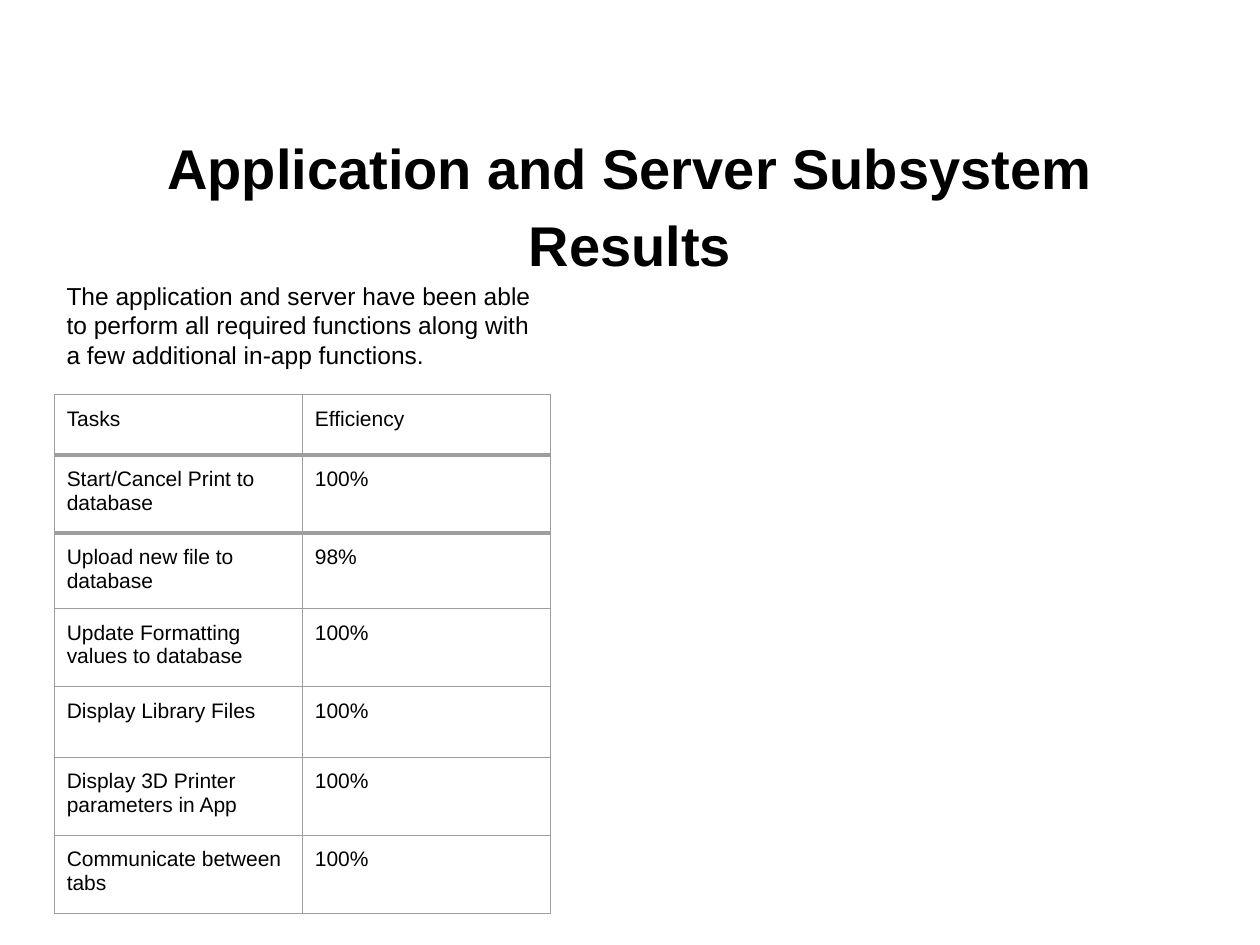
from lxml import etree
from pptx import Presentation
from pptx.dml.color import RGBColor
from pptx.enum.text import MSO_ANCHOR, PP_ALIGN
from pptx.oxml.ns import qn
from pptx.util import Inches, Pt

CENTER = PP_ALIGN.CENTER
TOP, MIDDLE = MSO_ANCHOR.TOP, MSO_ANCHOR.MIDDLE
COLORS = {"text": "000000", "rule": "9E9E9E"}
THIN, THICK = 0.75, 3
TASKS = [
    ("Tasks", "Efficiency"),
    ("Start/Cancel Print to database", "100%"),
    ("Upload new file to database", "98%"),
    ("Update Formatting values to database", "100%"),
    ("Display Library Files", "100%"),
    ("Display 3D Printer parameters in App", "100%"),
    ("Communicate between tabs", "100%"),
]
HEIGHTS = [0.48, 0.62, 0.6, 0.62, 0.56, 0.62, 0.62]
HEAVY = {1, 2}


class Page:
    """Hold the text style and the current slide."""

    def __init__(self, slide, font="Arial"):
        self.slide = slide
        self.font = font

    def add_run(self, para, words, size, bold=False):
        run = para.add_run()
        run.text = words
        run.font.name = self.font
        run.font.size = Pt(size)
        run.font.bold = bold
        run.font.color.rgb = RGBColor.from_string(COLORS["text"])

    def text(self, box, words, size, pad=0.1, anchor=TOP, align=None, space=None, bold=False):
        frame = self.slide.shapes.add_textbox(*map(Inches, box)).text_frame
        frame.word_wrap = True
        frame.vertical_anchor = anchor
        frame.margin_left = frame.margin_right = Inches(0.1)
        frame.margin_top = frame.margin_bottom = Inches(pad)
        para = frame.paragraphs[0]
        para.alignment = align
        para.line_spacing = space
        self.add_run(para, words, size, bold)

    def edge(self, cell, side, width):
        line = etree.SubElement(cell._tc.get_or_add_tcPr(), qn(f"a:ln{side}"), w=str(Pt(width)))
        fill = etree.SubElement(line, qn("a:solidFill"))
        etree.SubElement(fill, qn("a:srgbClr"), val=COLORS["rule"])

    def table(self, box, data, heights, heavy, size):
        shape = self.slide.shapes.add_table(len(data), len(data[0]), *map(Inches, box))
        grid = shape.table
        grid.first_row = grid.horz_banding = False
        for i, (row, height) in enumerate(zip(data, heights)):
            grid.rows[i].height = Inches(height)
            for j, words in enumerate(row):
                cell = grid.cell(i, j)
                cell.margin_left = cell.margin_right = Inches(0.1)
                cell.margin_top = cell.margin_bottom = Inches(0.1)
                self.add_run(cell.text_frame.paragraphs[0], words, size)
                self.edge(cell, "L", THIN)
                self.edge(cell, "R", THIN)
                self.edge(cell, "T", THICK if i in heavy else THIN)
                self.edge(cell, "B", THICK if i + 1 in heavy else THIN)
                cell.fill.background()


def main():
    deck = Presentation()
    deck.slide_width, deck.slide_height = Inches(10), Inches(7.5)
    page = Page(deck.slides.add_slide(deck.slide_layouts[6]))
    page.text(
        (0.43, 2.13, 3.94, 0.91),
        "The application and server have been able to perform all required functions "
        "along with a few additional in-app functions.",
        14,
    )
    page.text(
        (0.5, 1.15, 9, 0.88), "Application and Server Subsystem Results", 32,
        pad=0.05, anchor=MIDDLE, align=CENTER, space=1.15, bold=True,
    )
    page.table((0.43, 3.13, 3.94, 4.12), TASKS, HEIGHTS, HEAVY, 12)
    deck.save("out.pptx")


if __name__ == "__main__":
    main()
